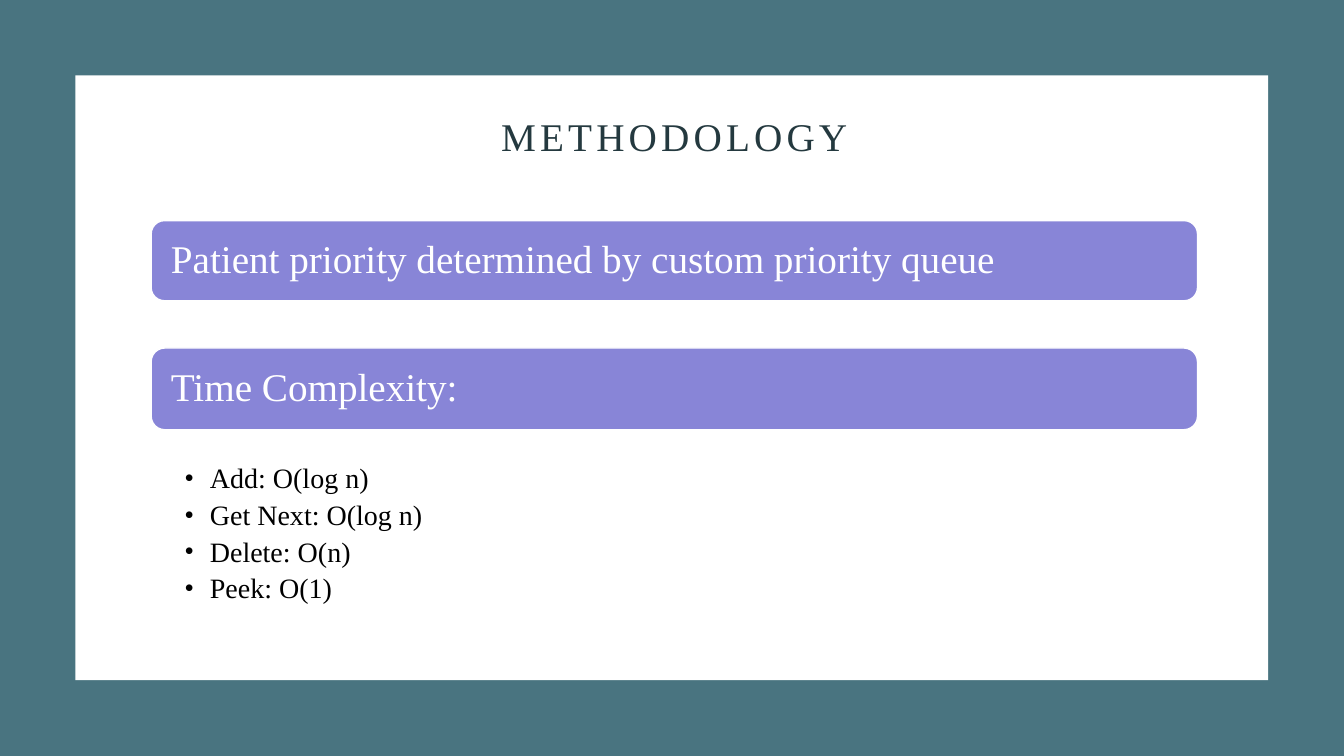
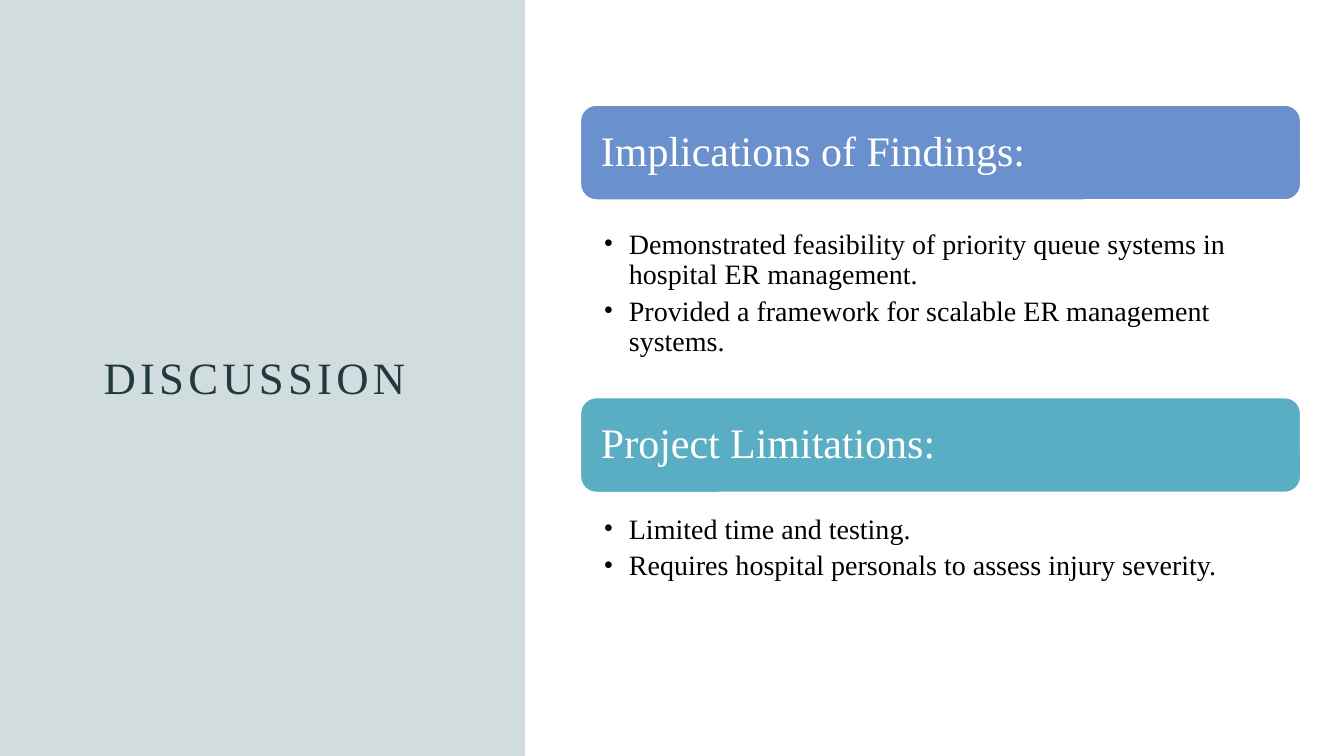
"""Build the methodology and discussion slides of a hospital queue project."""
from pptx import Presentation
from pptx import util as u
from pptx.dml.color import RGBColor
from pptx.enum import shapes, text
from pptx.oxml.ns import qn
from lxml import etree

FONT = "Times New Roman"
COLOURS = {
    "teal": "497480", "white": "FFFFFF", "black": "000000", "title": "24393F",
    "violet": "8885D7", "blue": "6A90CE", "aqua": "5AAEC3",
}


def add_block(slide, kind, box, fill, outline=None):
    block = slide.shapes.add_shape(kind, *[u.Cm(length) for length in box])
    block.shadow.inherit = False
    block.fill.solid()
    block.fill.fore_color.rgb = RGBColor.from_string(COLOURS[fill])
    if outline:
        block.line.color.rgb = RGBColor.from_string(COLOURS[outline])
        block.line.width = u.Pt(1)
    else:
        block.line.fill.background()
    return block


def write(shape, lines, size, colour, align=text.PP_ALIGN.LEFT,
          anchor=text.MSO_ANCHOR.MIDDLE, insets=(0.25, 0.13), spacing=0, bullets=False):
    frame = shape.text_frame
    frame.word_wrap = True
    frame.vertical_anchor = anchor
    frame.margin_left, frame.margin_right = u.Cm(insets[0]), u.Cm(0.4)
    frame.margin_top = frame.margin_bottom = u.Cm(insets[1])
    if align == text.PP_ALIGN.CENTER:
        frame.margin_right = frame.margin_left
    for index, line in enumerate(lines):
        paragraph = frame.add_paragraph() if index else frame.paragraphs[0]
        paragraph.alignment = align
        paragraph.line_spacing = 0.9
        run = paragraph.add_run()
        run.text = line
        run.font.name = FONT
        run.font.size = u.Pt(size)
        run.font.color.rgb = RGBColor.from_string(COLOURS[colour])
        if spacing:
            run.font._element.set("spc", str(spacing * 100))
        if bullets:
            paragraph.space_after = u.Pt(4.6)
            properties = paragraph._p.get_or_add_pPr()
            properties.set("marL", str(u.Cm(0.64)))
            properties.set("indent", str(-u.Cm(0.64)))
            etree.SubElement(properties, qn("a:buFont")).set("typeface", FONT)
            etree.SubElement(properties, qn("a:buChar")).set("char", "•")


deck = Presentation()
deck.slide_width, deck.slide_height = u.Cm(33.87), u.Cm(19.05)
methodology, discussion = [deck.slides.add_slide(deck.slide_layouts[6]) for _ in range(2)]

RECTANGLE = shapes.MSO_SHAPE.RECTANGLE
add_block(methodology, RECTANGLE, (0, 0, 33.87, 19.05), "teal")
add_block(methodology, RECTANGLE, (1.9, 1.9, 30.06, 15.24), "white")
side_panel = add_block(discussion, RECTANGLE, (0, 0, 13.23, 19.05), "teal")
panel_colour = side_panel._element.spPr.find(qn("a:solidFill"))[0]
etree.SubElement(panel_colour, qn("a:alpha")).set("val", "25000")

titles = [
    (methodology, "METHODOLOGY", (3.81, 2.79, 26.37, 1.42), 28),
    (discussion, "DISCUSSION ", (1.9, 1.96, 9.42, 15.24), 32),
]
for slide, title, box, size in titles:
    heading = slide.shapes.add_textbox(*[u.Cm(length) for length in box])
    write(heading, [title], size, "title", align=text.PP_ALIGN.CENTER, spacing=3)

priority_sections = [
    ("Patient priority determined by custom priority queue", "violet", 5.56, 2.02, None, []),
    ("Time Complexity:", "violet", 8.77, 2.06, 11.63,
     ["Add: O(log n)", "Get Next: O(log n)", "Delete: O(n)", "Peek: O(1)"]),
]
outcome_sections = [
    ("Implications of Findings:", "blue", 2.65, 2.39, 5.72,
     ["Demonstrated feasibility of priority queue systems in hospital ER management.",
      "Provided a framework for scalable ER management systems."]),
    ("Project Limitations:", "aqua", 10.02, 2.39, 12.9,
     ["Limited time and testing.",
      "Requires hospital personals to assess injury severity."]),
]
columns = [
    (methodology, 3.81, 26.37, 28, 0.84, priority_sections),
    (discussion, 14.63, 18.15, 30, 0.58, outcome_sections),
]
for slide, left, width, topic_size, indent, sections in columns:
    for topic, fill, top, height, points_top, points in sections:
        band = add_block(slide, shapes.MSO_SHAPE.ROUNDED_RECTANGLE,
                         (left, top, width, height), fill, outline="white")
        write(band, [topic], topic_size, "white", insets=(0.4, 0.3))
        if points:
            details = slide.shapes.add_textbox(u.Cm(left), u.Cm(points_top),
                                               u.Cm(width), u.Cm(3.5))
            write(details, points, 20, "black", anchor=text.MSO_ANCHOR.TOP,
                  insets=(indent, 0.08), bullets=True)

deck.save("out.pptx")
